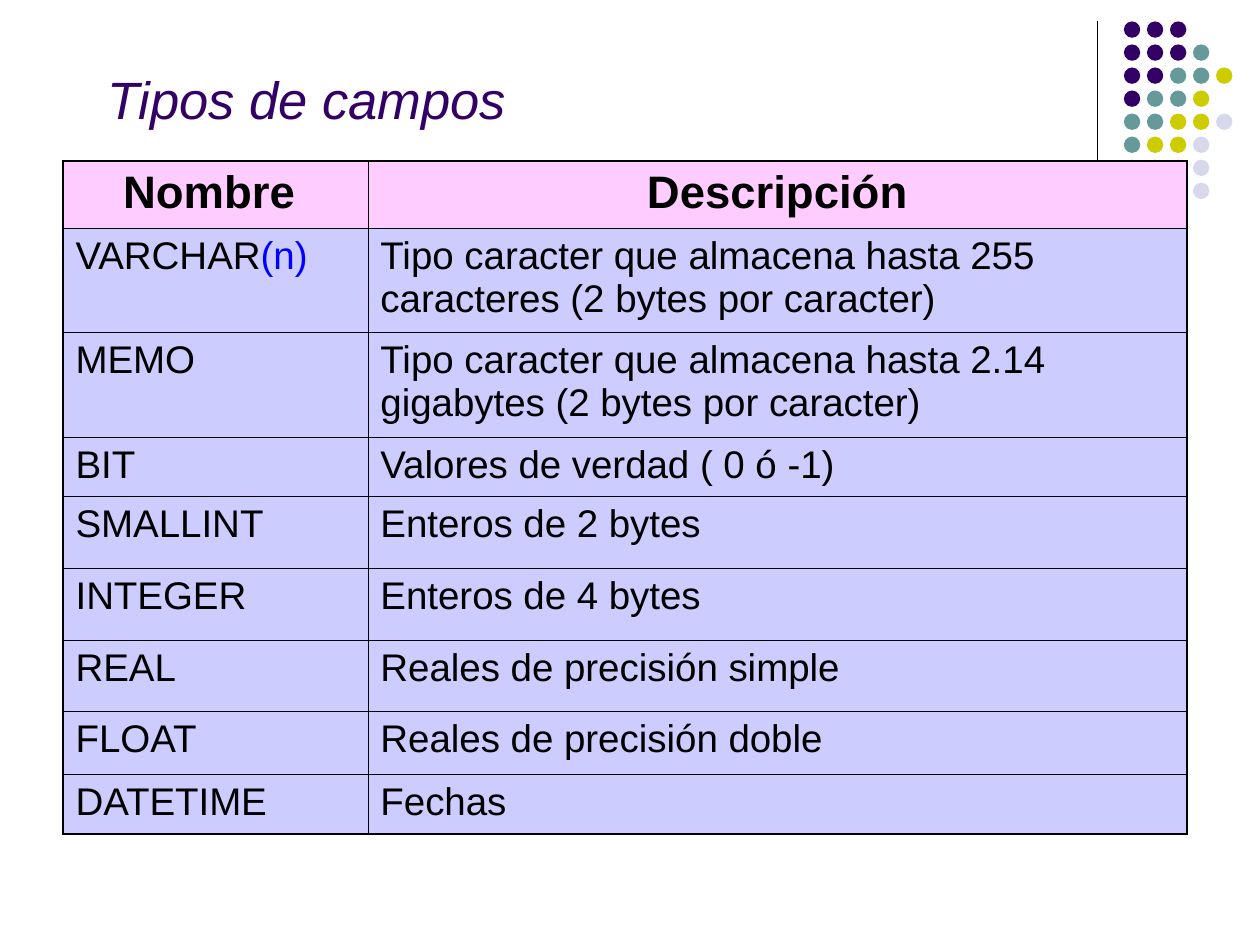
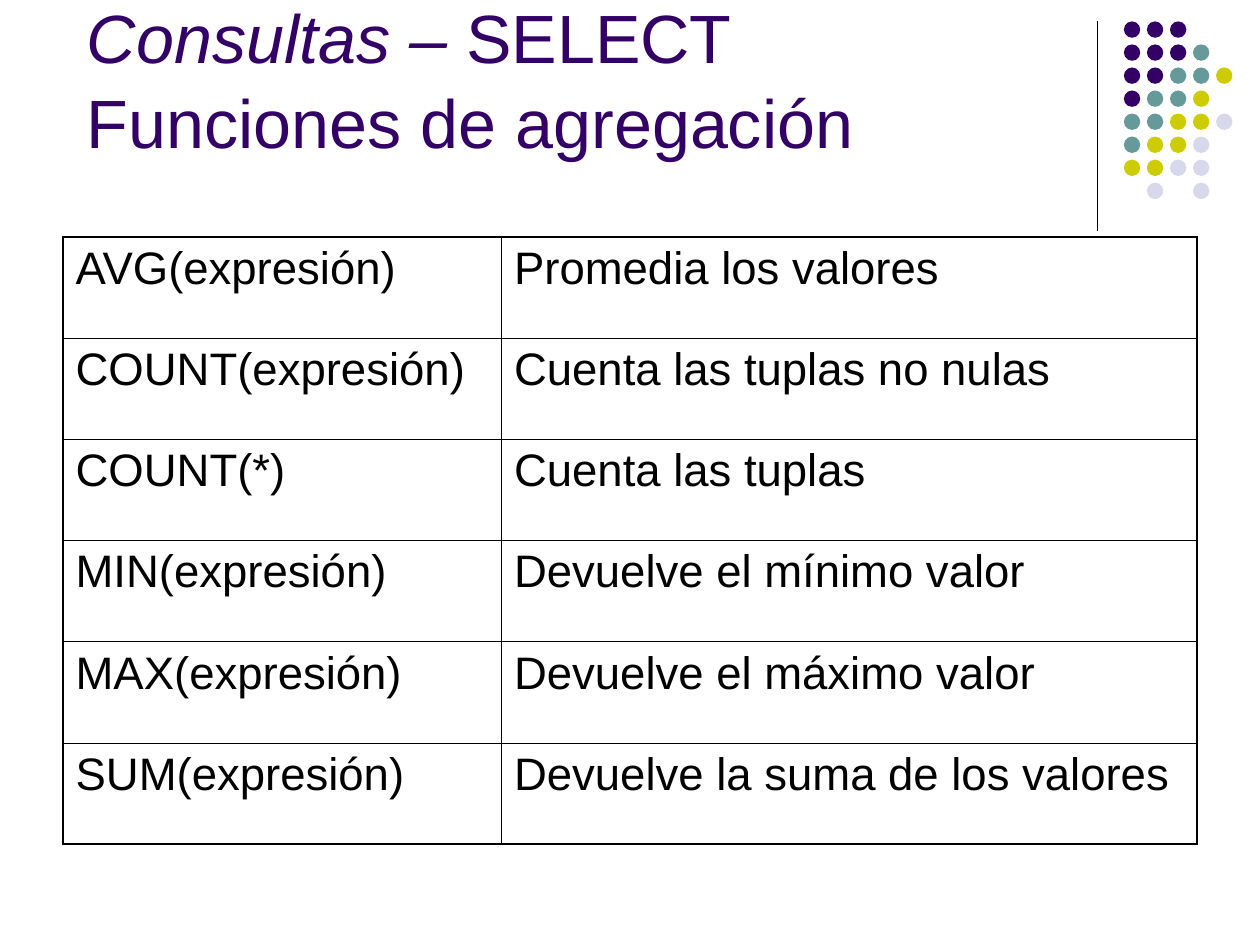
import dataclasses
import typing

import pptx
import pptx.dml.color
import pptx.enum.dml
import pptx.enum.shapes
import pptx.enum.text
import pptx.oxml.ns
import pptx.util
from lxml import etree

Inches = pptx.util.Inches
Pt = pptx.util.Pt
qn = pptx.oxml.ns.qn

FONT = "Arial"
BLACK = "000000"
PURPLE = "330066"
BLUE = "0000FF"
PINK = "FFCCFF"
LAVENDER = "CCCCFF"
OUTER_LINE, INNER_LINE = Pt(1.08), Pt(0.45)

DOT_COLORS = {"P": PURPLE, "T": "669999", "Y": "CCCC00", "L": "D8D8EC"}
DOT_ROWS = ["PPP", "PPPT", "PPTTY", "PTTY", "TTYYL", "TYYL", "YYLL", " L L"]
DOT_LEFT, DOT_TOP, DOT_SIZE = Inches(8.92), Inches(0.17), Inches(0.13)
DOT_PITCH = Inches(1.28) // 7


class Run(typing.NamedTuple):
    text: str
    color: str = BLACK
    italic: bool = False


Cell = str | list[Run]


@dataclasses.dataclass
class Title:
    left: float
    top: float
    height: float
    size: int
    lines: list[list[Run]]
    spacing: float = 1.0


@dataclasses.dataclass
class Grid:
    top: float
    widths: list[float]
    heights: list[float]
    size: int
    rows: list[tuple[Cell, Cell]]
    fill: str | None = None
    header_fill: str | None = None
    header_size: int = 26


def rgb(color: str) -> pptx.dml.color.RGBColor:
    return pptx.dml.color.RGBColor.from_string(color)


def set_font(font: typing.Any, size: int, color: str, bold: bool = False) -> None:
    font.name = FONT
    font.size = Pt(size)
    font.bold = bold
    font.color.rgb = rgb(color)


def add_decoration(s: typing.Any) -> None:
    line = s.shapes.add_connector(
        pptx.enum.shapes.MSO_CONNECTOR.STRAIGHT,
        Inches(8.71), Inches(0.17), Inches(8.71), Inches(1.83))
    line.line.color.rgb = rgb(BLACK)
    line.line.width = Pt(0.75)
    etree.SubElement(line._element.spPr, qn("a:effectLst"))
    for row, codes in enumerate(DOT_ROWS):
        for col, code in enumerate(codes):
            if code not in DOT_COLORS:
                continue
            dot = s.shapes.add_shape(
                pptx.enum.shapes.MSO_SHAPE.OVAL,
                DOT_LEFT + col * DOT_PITCH, DOT_TOP + row * DOT_PITCH,
                DOT_SIZE, DOT_SIZE)
            dot.shadow.inherit = False
            dot.fill.solid()
            dot.fill.fore_color.rgb = rgb(DOT_COLORS[code])
            dot.line.fill.background()


def add_title(s: typing.Any, title: Title) -> None:
    sp = s.shapes.title
    sp.left, sp.top = Inches(title.left), Inches(title.top)
    sp.width, sp.height = Inches(8.5), Inches(title.height)
    tf = sp.text_frame
    tf.word_wrap = True
    tf.auto_size = pptx.enum.text.MSO_AUTO_SIZE.NONE
    tf.vertical_anchor = pptx.enum.text.MSO_ANCHOR.BOTTOM
    p = tf.paragraphs[0]
    p.alignment = pptx.enum.text.PP_ALIGN.LEFT
    p.line_spacing = title.spacing
    set_font(p.font, title.size, PURPLE)
    for i, line in enumerate(title.lines):
        if i:
            p.add_line_break()
        for run in line:
            r = p.add_run()
            r.text = run.text
            r.font.italic = run.italic


def set_border(cell: typing.Any, side: str, width: int) -> None:
    ln = etree.SubElement(cell._tc.get_or_add_tcPr(), qn(f"a:ln{side}"), w=str(width))
    fill = etree.SubElement(ln, qn("a:solidFill"))
    etree.SubElement(fill, qn("a:srgbClr"), val=BLACK)


def fill_cell(cell: typing.Any, content: Cell, size: int, header: bool) -> None:
    p = cell.text_frame.paragraphs[0]
    if header:
        p.alignment = pptx.enum.text.PP_ALIGN.CENTER
    set_font(p.font, size, BLACK, header)
    for run in [Run(content)] if isinstance(content, str) else content:
        r = p.add_run()
        r.text = run.text
        r.font.color.rgb = rgb(run.color)


def add_grid(s: typing.Any, grid: Grid) -> None:
    n_rows, n_cols = len(grid.rows), len(grid.widths)
    table = s.shapes.add_table(
        n_rows, n_cols, Inches(0.5), Inches(grid.top),
        Inches(sum(grid.widths)), Inches(sum(grid.heights))).table
    table.first_row = table.horz_banding = False
    for column, width in zip(table.columns, grid.widths):
        column.width = Inches(width)
    for i, (row, height) in enumerate(zip(table.rows, grid.heights)):
        row.height = Inches(height)
        header = i == 0 and grid.header_fill is not None
        for j, cell in enumerate(row.cells):
            on_edge = {"L": j == 0, "R": j == n_cols - 1, "T": i == 0, "B": i == n_rows - 1}
            for side, outer in on_edge.items():
                set_border(cell, side, OUTER_LINE if outer else INNER_LINE)
            fill = grid.header_fill if header else grid.fill
            if fill:
                cell.fill.solid()
                cell.fill.fore_color.rgb = rgb(fill)
            else:
                cell.fill.background()
            fill_cell(cell, grid.rows[i][j], grid.header_size if header else grid.size, header)


FIELD_TYPES = (
    Title(0.75, 0.33, 0.75, 30, [[Run("Tipos de campos", italic=True)]]),
    Grid(1.28, [2.42, 6.5], [0.53, 0.83, 0.83, 0.47, 0.57, 0.57, 0.57, 0.5, 0.47], 22, [
        ("Nombre ", "Descripción"),
        ([Run("VARCHAR"), Run("(n)", BLUE)],
         "Tipo caracter que almacena hasta 255 caracteres (2 bytes por caracter)"),
        ("MEMO", "Tipo caracter que almacena hasta 2.14 gigabytes (2 bytes por caracter)"),
        ("BIT", "Valores de verdad ( 0 ó -1)"),
        ("SMALLINT", "Enteros de 2 bytes"),
        ("INTEGER", "Enteros de 4 bytes"),
        ("REAL", "Reales de precisión simple"),
        ("FLOAT", "Reales de precisión doble"),
        ("DATETIME", "Fechas"),
    ], LAVENDER, PINK),
)

AGGREGATES = (
    Title(0.59, 0.84, 0.5, 39, [
        [Run("Consultas – ", italic=True), Run("SELECT")],
        [Run("Funciones de agregación")],
    ], 1.04),
    Grid(1.88, [3.48, 5.52], [4.82 / 6] * 6, 26, [
        ("AVG(expresión)", "Promedia los valores"),
        ("COUNT(expresión)", "Cuenta las tuplas no nulas"),
        ("COUNT(*)", "Cuenta las tuplas"),
        ("MIN(expresión)", "Devuelve el mínimo valor"),
        ("MAX(expresión)", "Devuelve el máximo valor"),
        ("SUM(expresión)", "Devuelve la suma de los valores"),
    ]),
)


def main() -> None:
    """Build the two table slides and save the presentation."""
    prs = pptx.Presentation()
    prs.slide_width, prs.slide_height = Inches(10), Inches(7.5)
    for title, grid in (FIELD_TYPES, AGGREGATES):
        s = prs.slides.add_slide(prs.slide_layouts[5])
        add_decoration(s)
        add_title(s, title)
        add_grid(s, grid)
    prs.save("out.pptx")


if __name__ == "__main__":
    main()
